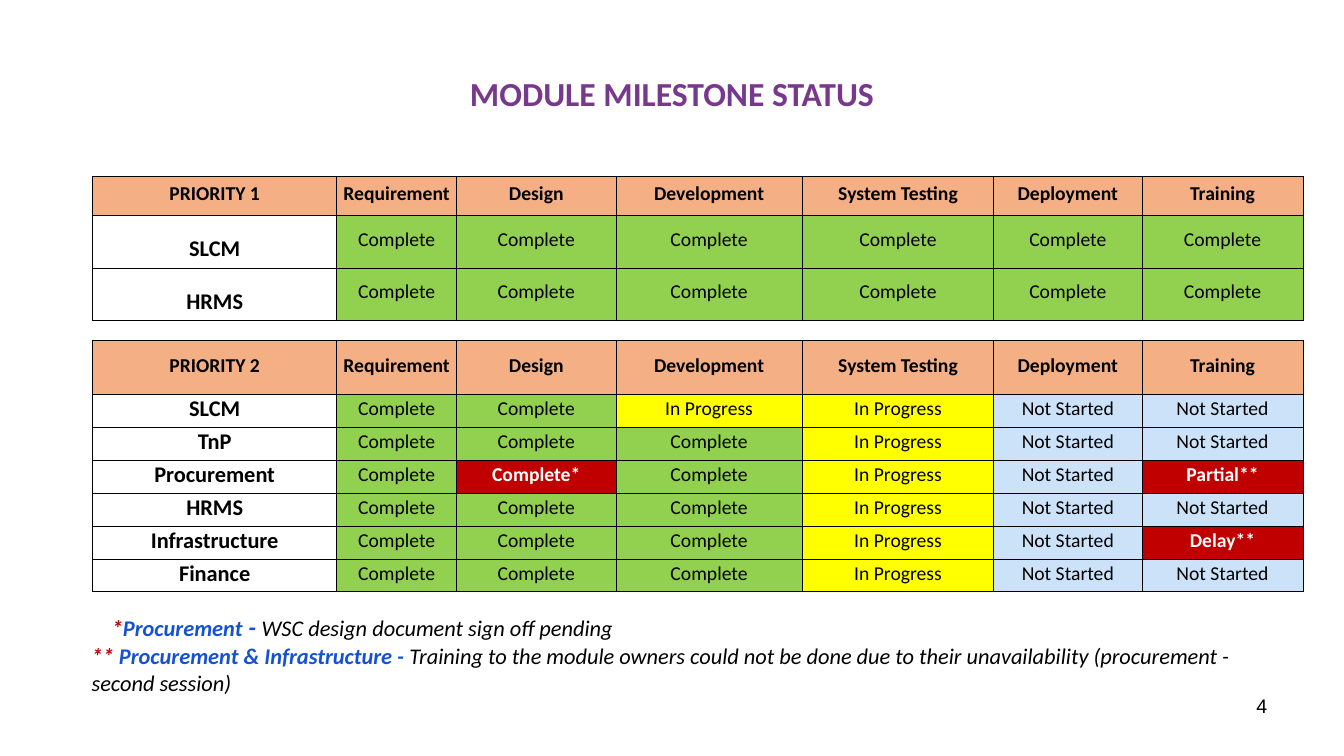
"""Builds the module milestone status slide."""
import pptx
import pptx.dml.color
import pptx.enum.text
import pptx.oxml
import pptx.oxml.ns
import pptx.util

COLORS = {
    "black": "000000",
    "white": "FFFFFF",
    "purple": "78398D",
    "blue": "1552D1",
    "red": "C00000",
    "header": "F4B084",
    "green": "92D050",
    "yellow": "FFFF00",
    "sky": "CBE2F9",
}
STATUS_FILLS = {"Complete": "green", "In Progress": "yellow", "Not Started": "sky"}
PHASES = ["Requirement", "Design", "Development", "System Testing", "Deployment", "Training"]
COLUMN_SHARES = [18.15, 8.93, 11.85, 13.87, 14.25, 11.02, 12]
DONE, BUSY, WAITING = "Complete", "In Progress", "Not Started"
PRIORITY_1 = {"SLCM": [DONE] * 6, "HRMS": [DONE] * 6}
PRIORITY_2 = {
    "SLCM": [DONE, DONE, BUSY, BUSY, WAITING, WAITING],
    "TnP": [DONE, DONE, DONE, BUSY, WAITING, WAITING],
    "Procurement": [DONE, "Complete*", DONE, BUSY, WAITING, "Partial**"],
    "HRMS": [DONE, DONE, DONE, BUSY, WAITING, WAITING],
    "Infrastructure": [DONE, DONE, DONE, BUSY, WAITING, "Delay**"],
    "Finance": [DONE, DONE, DONE, BUSY, WAITING, WAITING],
}
NOTES = [
    [("*", 16, "red", True), ("Procurement", 16, "blue", True), (" ", 18, "blue", False),
     ("- ", 18, "blue", True), ("WSC design document sign off pending", 16, "black", False)],
    [("** ", 16, "red", True), ("Procurement & Infrastructure - ", 16, "blue", True),
     ("Training to the module owners could not be done due to their unavailability "
      "(procurement - second session)", 16, "black", False)],
]
ALIGN = pptx.enum.text.PP_ALIGN
ANCHOR = pptx.enum.text.MSO_ANCHOR


class StatusSlide:
    """Draws styled elements, placed in percent of the slide's size."""

    def __init__(self, deck):
        self.deck = deck
        self.slide = deck.slides.add_slide(deck.slide_layouts[6])
        self.font = "Calibri"

    def across(self, share):
        """Turn a percentage of the slide width into a length."""
        return round(self.deck.slide_width * share / 100)

    def down(self, share):
        """Turn a percentage of the slide height into a length."""
        return round(self.deck.slide_height * share / 100)

    def area(self, left, top, width, height):
        """Turn four percentages into a position and a size."""
        return self.across(left), self.down(top), self.across(width), self.down(height)

    def add_runs(self, paragraph, pieces, align=ALIGN.LEFT, italic=False, font=None):
        """Fill a paragraph with (words, size, color, bold) pieces."""
        paragraph.alignment = align
        for words, size, color, bold in pieces:
            run = paragraph.add_run()
            run.text = words
            run.font.name = font or self.font
            run.font.size = pptx.util.Pt(size)
            run.font.bold = bold
            run.font.italic = italic
            run.font.color.rgb = pptx.dml.color.RGBColor.from_string(COLORS[color])

    def text(self, share, paragraphs, anchor=ANCHOR.TOP, first_indent=0, **style):
        """Add a wrapping text box with one entry per paragraph."""
        frame = self.slide.shapes.add_textbox(*self.area(*share)).text_frame
        frame.word_wrap = True
        frame.vertical_anchor = anchor
        for index, pieces in enumerate(paragraphs):
            paragraph = frame.add_paragraph() if index else frame.paragraphs[0]
            if first_indent and not index:
                paragraph._p.get_or_add_pPr().set("indent", str(self.across(first_indent)))
            self.add_runs(paragraph, pieces, **style)

    def cell(self, cell, words, size, bold, fill, color="black", anchor=ANCHOR.MIDDLE):
        """Style one table cell with borders, fill and centred text."""
        properties = cell._tc.get_or_add_tcPr()
        for side in ("lnL", "lnR", "lnT", "lnB"):
            properties.append(pptx.oxml.parse_xml(
                f'<a:{side} {pptx.oxml.ns.nsdecls("a")} w="6350"><a:solidFill>'
                f'<a:srgbClr val="{COLORS["black"]}"/></a:solidFill></a:{side}>'))
        if fill:
            cell.fill.solid()
            cell.fill.fore_color.rgb = pptx.dml.color.RGBColor.from_string(COLORS[fill])
        else:
            cell.fill.background()
        cell.margin_left = cell.margin_top = cell.margin_right = pptx.util.Inches(0.01)
        cell.margin_bottom = pptx.util.Inches(0.05)
        cell.vertical_anchor = anchor
        self.add_runs(cell.text_frame.paragraphs[0], [(words, size, color, bold)], ALIGN.CENTER)

    def milestones(self, top, heading, modules, header_share, row_share):
        """Add a table of module statuses under a row of phases."""
        row_shares = [header_share] + [row_share] * len(modules)
        table = self.slide.shapes.add_table(
            len(row_shares), len(COLUMN_SHARES),
            *self.area(6.9, top, sum(COLUMN_SHARES), sum(row_shares))).table
        table.first_row = table.horz_banding = False
        for column, share in zip(table.columns, COLUMN_SHARES):
            column.width = self.across(share)
        for row, share in zip(table.rows, row_shares):
            row.height = self.down(share)
        for index, label in enumerate([heading] + PHASES):
            self.cell(table.cell(0, index), label, 14, True, "header")
        for index, (module, statuses) in enumerate(modules.items(), 1):
            self.cell(table.cell(index, 0), module, 16, True, None, anchor=ANCHOR.BOTTOM)
            for phase, status in enumerate(statuses, 1):
                flagged = status not in STATUS_FILLS
                self.cell(table.cell(index, phase), status, 14, flagged,
                          STATUS_FILLS.get(status, "red"), "white" if flagged else "black")


def main():
    """Build and save the slide."""
    deck = pptx.Presentation()
    deck.slide_width = pptx.util.Inches(13.33)
    deck.slide_height = pptx.util.Inches(7.5)
    status = StatusSlide(deck)
    status.text((5, 4, 90, 16.67), [[("MODULE MILESTONE STATUS", 24, "purple", True)]],
                ANCHOR.MIDDLE, align=ALIGN.CENTER)
    status.text((71.7, 91.07, 23.33, 6.93), [[("4", 14, "black", False)]],
                align=ALIGN.RIGHT, font="Arial")
    status.text((6.08, 80.27, 90.83, 11.87), NOTES, first_indent=1.5, italic=True)
    status.milestones(45.07, "PRIORITY 2", PRIORITY_2, 7.07, 4)
    status.milestones(23.33, "PRIORITY 1", PRIORITY_1, 5.2, 6.93)
    deck.save("out.pptx")


if __name__ == "__main__":
    main()
